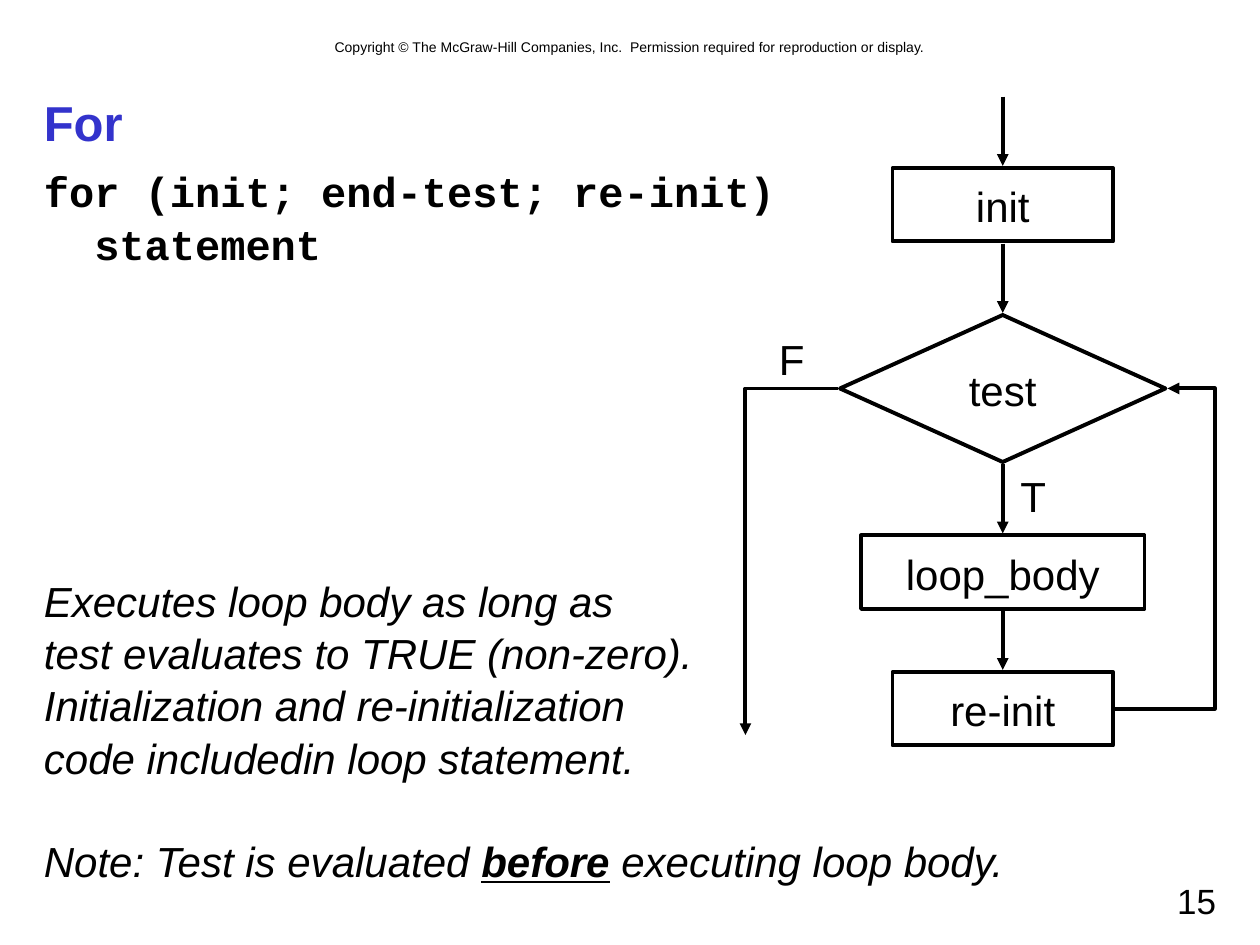
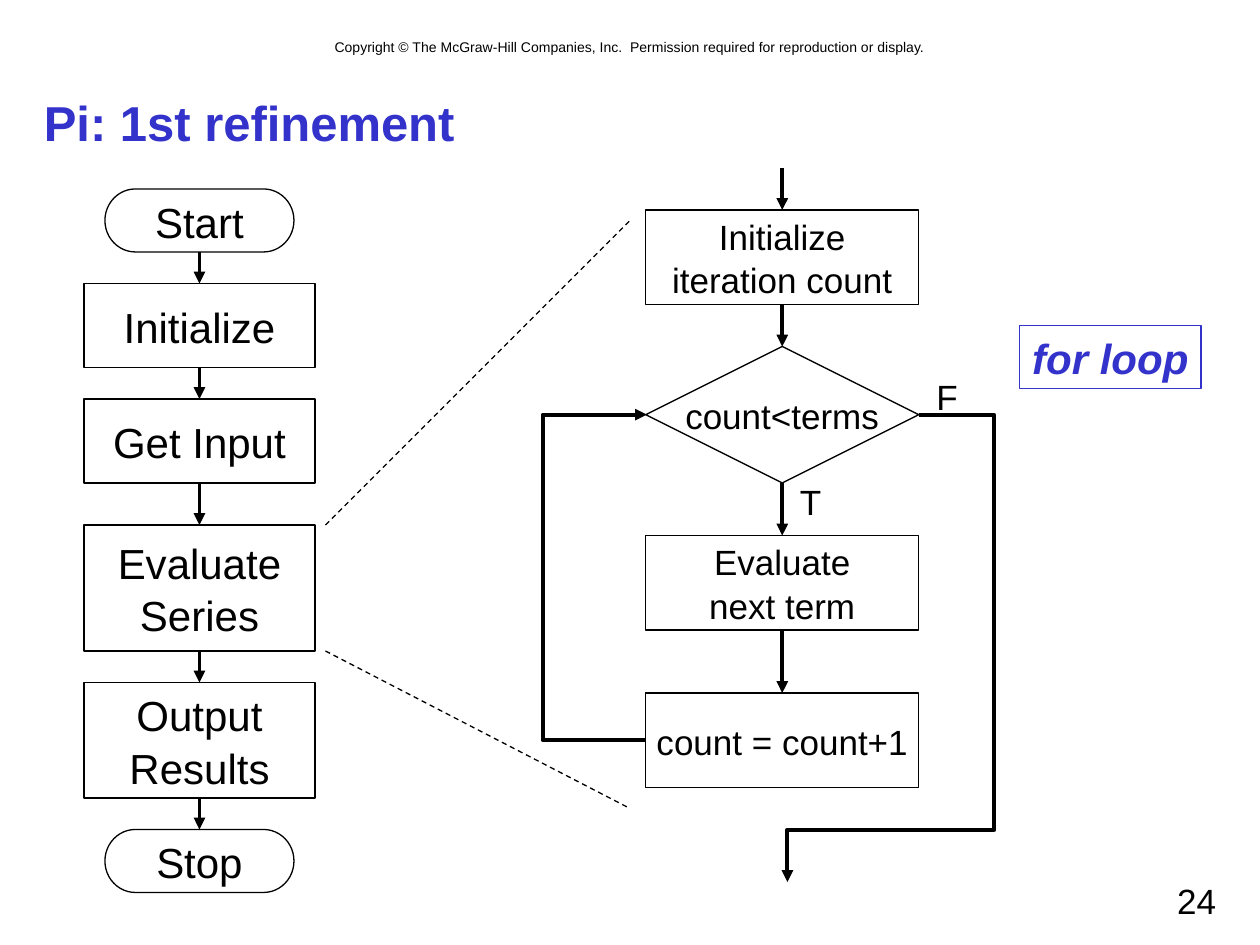
from dataclasses import dataclass, field
from itertools import pairwise
from typing import NamedTuple

from lxml.etree import SubElement as sub
from pptx import Presentation
from pptx.dml.color import RGBColor as RGB
from pptx.enum.dml import MSO_LINE as Dash
from pptx.enum.shapes import MSO_CONNECTOR as Link, MSO_SHAPE as Kind
from pptx.enum.text import MSO_ANCHOR as Anchor, PP_ALIGN as Align
from pptx.oxml.ns import qn
from pptx.util import Inches, Pt

# Shared style: a grid of 120 columns by 90 rows on a 10 x 7.5 inch slide
COLS = 120
WIDE, HIGH = Inches(10), Inches(7.5)
CELL = WIDE // COLS
HUES = {"ink": "000000", "blue": "3333CC"}
BOLD, SLANT = {"bold": True}, {"italic": True}
CODE = {"bold": True, "name": "Courier New"}
RIGHTS = ("Copyright © The McGraw-Hill Companies, Inc.  "
          "Permission required for reproduction or display.")


class Area(NamedTuple):
    x: float
    y: float
    w: float
    h: float


class Run(NamedTuple):
    text: str
    form: dict = {}


@dataclass
class Text:
    area: Area
    paras: list
    size: int = 24
    hue: str = "ink"
    form: dict = field(default_factory=dict)
    align: Align = Align.LEFT
    anchor: Anchor = Anchor.TOP
    wrap: bool = True
    before: tuple = ()


@dataclass
class Node:
    area: Area
    paras: list
    kind: Kind = Kind.RECTANGLE

    @property
    def foot(self) -> float:
        return self.area.y + self.area.h

    @property
    def mid(self) -> float:
        return self.area.x + self.area.w / 2


class Bend(NamedTuple):
    start: tuple
    end: tuple
    via: tuple = ()


def cells(*nums: float) -> list:
    return [round(n * CELL) for n in nums]


# Text
def write(shape, item: Text) -> None:
    frame = shape.text_frame
    frame.word_wrap = item.wrap
    frame.vertical_anchor = item.anchor
    for i, runs in enumerate(item.paras):
        para = frame.paragraphs[0] if i == 0 else frame.add_paragraph()
        para.alignment = item.align
        para.line_spacing = 1.04
        if i < len(item.before):
            para.space_before = Pt(item.before[i])
        for part in [Run(runs)] if isinstance(runs, str) else runs:
            for j, line in enumerate(part.text.split("\n")):
                if j:
                    para.add_line_break()
                run = para.add_run()
                run.text = line
                look = {"name": "Arial", "size": Pt(item.size),
                        **item.form, **part.form}
                for key, val in look.items():
                    setattr(run.font, key, val)
                run.font.color.rgb = RGB.from_string(HUES[item.hue])


def put(slide, item: Text) -> None:
    write(slide.shapes.add_textbox(*cells(*item.area)), item)


def mark(slide, x: float, y: float, text: str, size: int) -> None:
    put(slide, Text(Area(x, y, 0.2 * size, 0.25 * size), [text], size,
                    align=Align.CENTER, wrap=False))


# Flow chart parts
def draw(slide, node: Node, line: float, size: int = 24, hue: str = "ink",
         form: dict = {}) -> None:
    shape = slide.shapes.add_shape(node.kind, *cells(*node.area))
    shape.shadow.inherit = False
    shape.fill.background()
    shape.line.color.rgb = RGB.from_string(HUES[hue])
    shape.line.width = Pt(line)
    write(shape, Text(node.area, node.paras, size, hue, form,
                      Align.CENTER, Anchor.MIDDLE, False))


def join(slide, start: tuple, end: tuple, kind: Link = Link.STRAIGHT,
         arrow: bool = True):
    link = slide.shapes.add_connector(kind, *cells(*start, *end))
    link.line.color.rgb = RGB.from_string(HUES["ink"])
    link.line.width = Pt(2.25 if arrow else 0.75)
    if arrow:
        sub(link.line._get_or_add_ln(), qn("a:tailEnd"), type="triangle")
    else:
        link.line.dash_style = Dash.DASH
    sub(link._element.spPr, qn("a:effectLst"))
    return link


def turn(slide, bend: Bend) -> None:
    """Draw an elbow; via holds the x, then the y, of its middle legs."""
    link = join(slide, bend.start, bend.end, Link.ELBOW)
    geom = link._element.spPr.find(qn("a:prstGeom"))
    geom.set("prst", f"bentConnector{2 + len(bend.via)}")
    guides = geom.get_or_add_avLst()
    for i, (a, b, v) in enumerate(zip(bend.start, bend.end, bend.via), 1):
        share = round((v - a) / (b - a) * 100000)
        sub(guides, qn("a:gd"), name=f"adj{i}", fmla=f"val {share}")


def chain(slide, nodes: list, line: float, size: int = 24,
          gap: float = 0, top: float | None = None) -> None:
    """Draw nodes downwards with an arrow between each pair."""
    for node in nodes:
        draw(slide, node, line, size)
    ends = [(a.foot, b.area.y) for a, b in pairwise(nodes)]
    if top is not None:
        ends.append((top, nodes[0].area.y))
    for y, end in ends:
        join(slide, (nodes[0].mid, y + gap), (nodes[0].mid, end - gap))


def page(deck, title: str, num: int):
    slide = deck.slides.add_slide(deck.slide_layouts[6])
    put(slide, Text(Area(8, 3, 104, 2.9), [RIGHTS], 8, align=Align.CENTER))
    put(slide, Text(Area(3, 8, 114, 7), [title], 28, "blue", BOLD,
                    anchor=Anchor.MIDDLE))
    put(slide, Text(Area(86, 83, 31, 5), [str(num)], 20, align=Align.RIGHT))
    return slide


# Slides
def loop(deck) -> None:
    slide = page(deck, "For", 15)
    put(slide, Text(Area(3, 15, 114, 65),
                    ["for (init; end-test; re-init)\n  statement"],
                    form=CODE))
    chain(slide, [
        Node(Area(85, 16, 21, 7), ["init"]),
        Node(Area(80, 30, 31, 14), ["test"], Kind.DIAMOND),
        Node(Area(82, 51, 27, 7), ["loop_body"]),
        Node(Area(85, 64, 21, 7), ["re-init"]),
    ], 2.25, gap=0.2, top=9)
    turn(slide, Bend((106.2, 67.5), (111.2, 37), (115.7,)))
    turn(slide, Bend((79.8, 37), (71, 70)))
    mark(slide, 73, 31, "F", 24)
    mark(slide, 96, 44, "T", 24)
    put(slide, Text(Area(3, 54, 94.5, 30), [
        "Executes loop body as long as\n"
        "test evaluates to TRUE (non-zero).\n"
        "Initialization and re-initialization\n"
        "code includedin loop statement.",
        [Run("Note: Test is evaluated "),
         Run("before", {"bold": True, "underline": True}),
         Run(" executing loop body.")],
    ], form=SLANT, before=(0, 28.8)))


def refine(deck) -> None:
    slide = page(deck, "Pi: 1st refinement", 24)
    # Main program
    chain(slide, [
        Node(Area(10, 18, 18, 6), ["Start"], Kind.FLOWCHART_TERMINATOR),
        Node(Area(8, 27, 22, 8), ["Initialize"]),
        Node(Area(8, 38, 22, 8), ["Get Input"]),
        Node(Area(8, 50, 22, 12), ["Evaluate\nSeries"]),
        Node(Area(8, 65, 22, 11), ["Output", "Results"]),
        Node(Area(10, 79, 18, 6), ["Stop"], Kind.FLOWCHART_TERMINATOR),
    ], 0.75)
    # Loop in detail
    chain(slide, [
        Node(Area(61.5, 20, 26, 9), ["Initialize", "iteration count"]),
        Node(Area(61.5, 33, 26, 13), ["count<terms"],
             Kind.FLOWCHART_DECISION),
        Node(Area(61.5, 51, 26, 9), ["Evaluate", "next term"]),
        Node(Area(61.5, 66, 26, 9), ["count = count+1"]),
    ], 0.75, 20, top=16)
    turn(slide, Bend((61.5, 70.5), (61.6, 39.5), (51.6,)))
    turn(slide, Bend((87.5, 39.5), (75, 84), (94.7, 79)))
    for y, end in ((50, 21), (62, 77)):
        join(slide, (31, y), (60, end), arrow=False)
    draw(slide, Node(Area(97.1, 31, 17.3, 6), ["for loop"]), 0.75,
         hue="blue", form=BOLD | SLANT)
    mark(slide, 88, 35, "F", 20)
    mark(slide, 75, 45, "T", 20)


def main() -> None:
    deck = Presentation()
    deck.slide_width, deck.slide_height = WIDE, HIGH
    loop(deck)
    refine(deck)
    deck.save("out.pptx")


if __name__ == "__main__":
    main()
